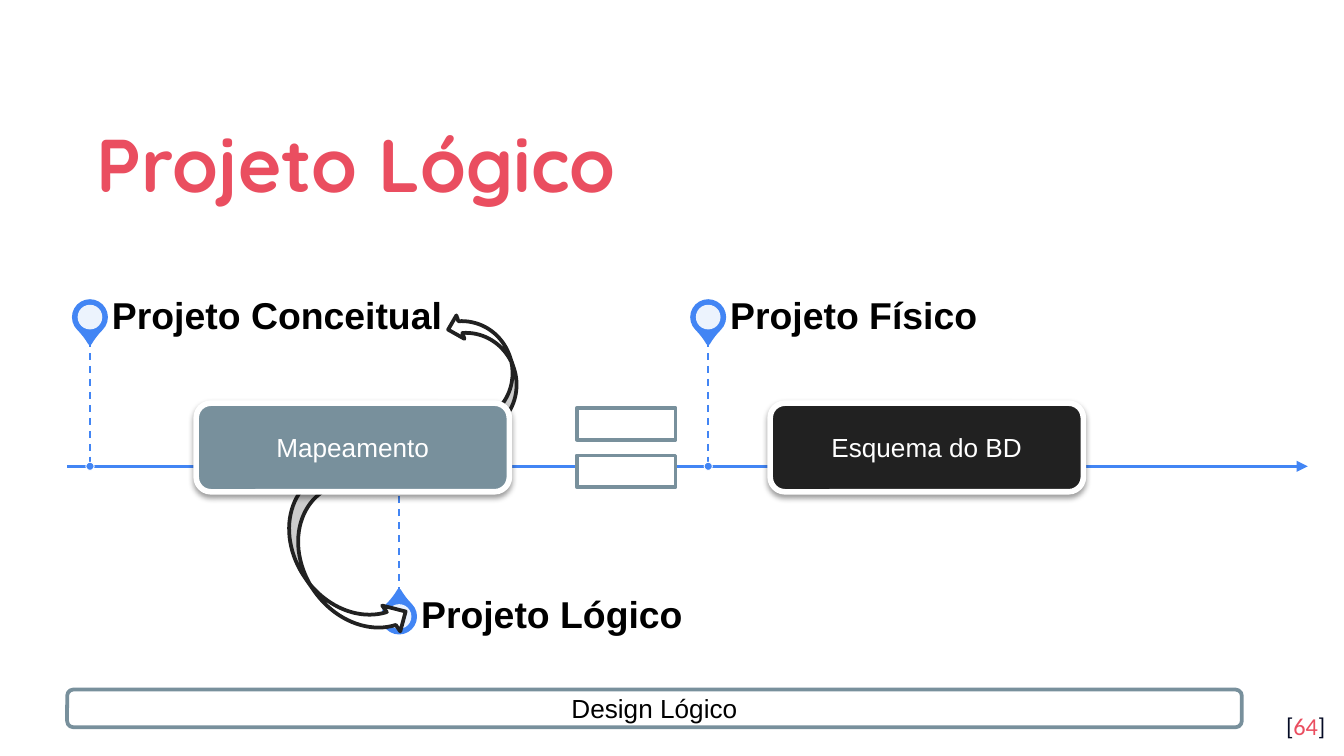
from pptx import Presentation
from pptx.dml.color import RGBColor
from pptx.enum.dml import MSO_LINE
from pptx.enum.shapes import MSO_CONNECTOR, MSO_SHAPE
from pptx.enum.text import MSO_ANCHOR, PP_ALIGN
from pptx.oxml import parse_xml
from pptx.oxml.ns import nsdecls, qn
from pptx.util import Pt


class Theme:
    blue = RGBColor.from_string("4285F4")
    red = RGBColor.from_string("EA4E60")
    navy = RGBColor.from_string("040A24")
    slate = RGBColor.from_string("78909C")
    dark = RGBColor.from_string("212121")
    white = RGBColor.from_string("FFFFFF")
    black = RGBColor.from_string("000000")
    title, label, body, page = 40, 20, 14, 13


def draw(kind, left, top, width, height, fill, line=None, weight=0):
    shape = slide.shapes.add_shape(kind, Pt(left), Pt(top), Pt(width), Pt(height))
    shape.shadow.inherit = False
    shape.fill.solid()
    shape.fill.fore_color.rgb = fill
    if line is None:
        shape.line.fill.background()
    else:
        shape.line.color.rgb = line
        shape.line.width = Pt(weight)
    return shape


def style(run, face, size, color, bold=False):
    run.font.name = face
    run.font.size = Pt(size)
    run.font.color.rgb = color
    run.font.bold = bold


deck = Presentation()
deck.slide_width, deck.slide_height = Pt(720), Pt(405)
slide = deck.slides.add_slide(deck.slide_layouts[6])

title = slide.shapes.add_textbox(Pt(44.6), Pt(50.4), Pt(631.4), Pt(66.2))
page = slide.shapes.add_textbox(Pt(673.9), Pt(373.7), Pt(43.2), Pt(31))
for box in (title, page):
    frame = box.text_frame
    frame.word_wrap = True
    frame.margin_left = frame.margin_right = Pt(7.2)
    frame.margin_top = frame.margin_bottom = Pt(7.2)

title.text_frame.text = "Projeto Lógico"
title.text_frame.vertical_anchor = MSO_ANCHOR.MIDDLE
para = title.text_frame.paragraphs[0]
para.line_spacing = 1.15
style(para.runs[0], "Quicksand", Theme.title, Theme.red, True)

para = page.text_frame.paragraphs[0]
para.alignment = PP_ALIGN.RIGHT
for text, color in (("[", Theme.navy), ("64", Theme.red), ("]", Theme.navy)):
    run = para.add_run()
    run.text = text
    style(run, "Calibri", Theme.page, color)

axis, start, step = 249.8, 48.2, 165.6
pins = [("Projeto Conceitual", True), ("Projeto Lógico", False), ("Projeto Físico", True)]
lines = [(36, axis, 700.6, axis, 1.5)]
for i, (name, above) in enumerate(pins):
    mid = start + i * step
    lines.append((mid, 182.2 if above else 318.2, mid, axis, 1))

for x1, y1, x2, y2, weight in lines:
    line = slide.shapes.add_connector(MSO_CONNECTOR.STRAIGHT, Pt(x1), Pt(y1), Pt(x2), Pt(y2))
    line.line.color.rgb = Theme.blue
    line.line.width = Pt(weight)
    if y1 == y2:
        tip = parse_xml(f'<a:tailEnd {nsdecls("a")} type="triangle"/>')
        line.line._get_or_add_ln().append(tip)
    else:
        line.line.dash_style = MSO_LINE.DASH
    line._element.spPr.append(parse_xml(f'<a:effectLst {nsdecls("a")}/>'))

for i, (name, above) in enumerate(pins):
    mid = start + i * step
    level = 169.9 if above else 330.3
    drop = draw(MSO_SHAPE.TEAR, mid - 8.6, level - 8.6, 17.2, 17.2, Theme.blue, Theme.blue, 2)
    drop.adjustments[0] = 1.15
    drop.rotation = 135 if above else 315
    hole = draw(MSO_SHAPE.OVAL, mid - 6.6, level - 6.6, 13.2, 13.2, Theme.white)
    tint = hole._element.spPr.find(qn("a:solidFill"))[0]
    tint.append(parse_xml(f'<a:alpha {nsdecls("a")} val="90000"/>'))
    if above:
        draw(MSO_SHAPE.OVAL, mid - 2.2, axis - 2.2, 4.4, 4.4, Theme.blue, Theme.white, 0.5)
    box = slide.shapes.add_textbox(Pt(mid + 11.8), Pt(level - 12), Pt(275.8), Pt(23.8))
    frame = box.text_frame
    frame.word_wrap = True
    frame.margin_left = frame.margin_top = frame.margin_bottom = 0
    frame.margin_right = Pt(10)
    frame.vertical_anchor = MSO_ANCHOR.MIDDLE
    frame.text = name
    para = frame.paragraphs[0]
    para.line_spacing = 0.9
    style(para.runs[0], "Arial", Theme.label, Theme.black, True)

for left, top, width, height, turn in (
    (247.7, 164.2, 26.6, 64.8, 161),
    (164.2, 257.8, 33.8, 95, 325),
):
    arrow = draw(MSO_SHAPE.CURVED_RIGHT_ARROW, left, top, width, height, Theme.white, Theme.dark, 2)
    arrow.rotation = turn

for name, left, top, width, height, fill, edge, weight, ink in (
    ("Mapeamento", 105.1, 216, 167.8, 47.5, Theme.slate, Theme.white, 3, Theme.white),
    ("Design Lógico", 36, 369.4, 629.3, 20.2, Theme.white, Theme.slate, 2, Theme.black),
    ("Esquema do BD", 412.6, 216, 167.8, 47.5, Theme.dark, Theme.white, 3, Theme.white),
):
    card = draw(MSO_SHAPE.ROUNDED_RECTANGLE, left, top, width, height, fill, edge, weight)
    if edge == Theme.white:
        card._element.spPr.find(qn("a:effectLst")).append(parse_xml(
            f'<a:outerShdw {nsdecls("a")} blurRad="{Pt(3.1)}" dist="{Pt(1.6)}" dir="5400000" rotWithShape="0">'
            '<a:srgbClr val="000000"><a:alpha val="38000"/></a:srgbClr></a:outerShdw>'))
    frame = card.text_frame
    frame.text = name
    frame.vertical_anchor = MSO_ANCHOR.MIDDLE
    frame.paragraphs[0].alignment = PP_ALIGN.CENTER
    style(frame.paragraphs[0].runs[0], "Arial", Theme.body, ink)

draw(MSO_SHAPE.MATH_EQUAL, 299.5, 203.8, 72, 72, Theme.white, Theme.slate, 2)

deck.save("out.pptx")
